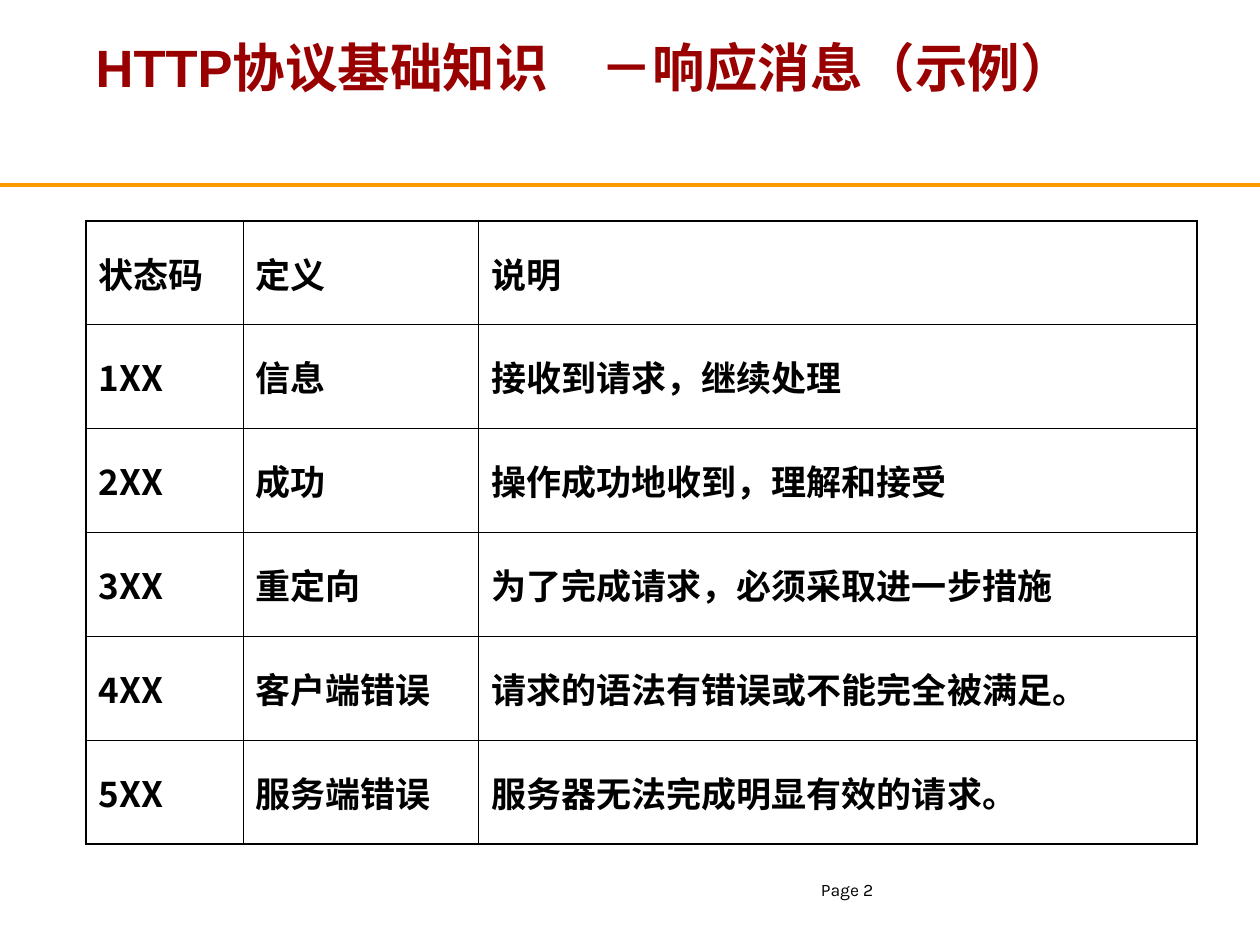
from lxml import etree
from pptx import Presentation
from pptx.dml.color import RGBColor
from pptx.enum.shapes import MSO_CONNECTOR
from pptx.enum.text import MSO_ANCHOR, PP_ALIGN
from pptx.oxml.ns import qn
from pptx.util import Cm, Pt

STRAIGHT = MSO_CONNECTOR.STRAIGHT
TOP, MIDDLE = MSO_ANCHOR.TOP, MSO_ANCHOR.MIDDLE
LEFT = PP_ALIGN.LEFT

BLACK = RGBColor(0x00, 0x00, 0x00)
DARK_RED = RGBColor(0x99, 0x00, 0x00)
ORANGE = RGBColor(0xFF, 0x99, 0x00)

CJK_FONT = "Noto Sans CJK SC"
TITLE_FONT = {"name": "Arial", "size": Pt(30), "bold": True}
CELL_FONT = {"name": CJK_FONT, "size": Pt(20), "bold": True}
PAGE_FONT = {"name": "Karla", "size": Pt(10), "bold": False}

OUTER_BORDER = Pt(1.08)
INNER_BORDER = Pt(0.45)

STATUS_CODES = [
    ("状态码", "定义", "说明"),
    ("1XX", "信息", "接收到请求，继续处理"),
    ("2XX", "成功", "操作成功地收到，理解和接受"),
    ("3XX", "重定向", "为了完成请求，必须采取进一步措施"),
    ("4XX", "客户端错误", "请求的语法有错误或不能完全被满足。"),
    ("5XX", "服务端错误", "服务器无法完成明显有效的请求。"),
]
COLUMN_WIDTHS = [3.17, 4.75, 14.48]


class SlideBuilder:
    def __init__(self, presentation):
        layout = presentation.slide_layouts[5]
        self.slide = presentation.slides.add_slide(layout)

    def fill_text(self, text_frame, text, font_values, color, line_spacing=1.0):
        paragraph = text_frame.paragraphs[0]
        paragraph.alignment = LEFT
        paragraph.line_spacing = line_spacing
        run = paragraph.add_run()
        run.text = text
        for name, value in font_values.items():
            setattr(run.font, name, value)
        run.font.color.rgb = color
        latin = run.font._element.find(qn("a:latin"))
        east_asian = etree.Element(qn("a:ea"), typeface=CJK_FONT)
        latin.addnext(east_asian)

    def frame(self, shape, anchor, horizontal, vertical):
        text_frame = shape.text_frame
        values = {
            "word_wrap": True,
            "vertical_anchor": anchor,
            "margin_left": horizontal,
            "margin_right": horizontal,
            "margin_top": vertical,
            "margin_bottom": vertical,
        }
        for name, value in values.items():
            setattr(text_frame, name, value)
        return text_frame

    def title(self, text, left, top, width, height):
        shape = self.slide.shapes.title
        shape.left, shape.top = Cm(left), Cm(top)
        shape.width, shape.height = Cm(width), Cm(height)
        text_frame = self.frame(shape, MIDDLE, Cm(0.23), Cm(0.1))
        self.fill_text(text_frame, text, TITLE_FONT, DARK_RED)

    def rule(self, left, top, width):
        line = self.slide.shapes.add_connector(
            STRAIGHT, Cm(left), Cm(top), Cm(left + width), Cm(top)
        )
        line.line.color.rgb = ORANGE
        line.line.width = Pt(2.25)
        etree.SubElement(line._element.spPr, qn("a:effectLst"))

    def page_label(self, text, left, top, width, height):
        shape = self.slide.shapes.add_textbox(
            Cm(left), Cm(top), Cm(width), Cm(height)
        )
        text_frame = self.frame(shape, TOP, 0, 0)
        self.fill_text(text_frame, text, PAGE_FONT, BLACK, 0.85)

    def border(self, cell, side, width):
        properties = cell._tc.get_or_add_tcPr()
        line = etree.SubElement(properties, qn(f"a:ln{side}"), w=str(width))
        fill = etree.SubElement(line, qn("a:solidFill"))
        etree.SubElement(fill, qn("a:srgbClr"), val=str(BLACK))

    def table(self, rows, column_widths, left, top, height):
        last_row, last_column = len(rows) - 1, len(column_widths) - 1
        table = self.slide.shapes.add_table(
            len(rows), len(column_widths), Cm(left), Cm(top),
            Cm(sum(column_widths)), Cm(height)
        ).table
        table.first_row = False
        table.horz_banding = False
        for column, width in zip(table.columns, column_widths):
            column.width = Cm(width)
        for row_index, texts in enumerate(rows):
            for column_index, text in enumerate(texts):
                cell = table.cell(row_index, column_index)
                outer_sides = {
                    "L": column_index == 0,
                    "R": column_index == last_column,
                    "T": row_index == 0,
                    "B": row_index == last_row,
                }
                for side, is_outer in outer_sides.items():
                    width = OUTER_BORDER if is_outer else INNER_BORDER
                    self.border(cell, side, width)
                cell.fill.background()
                cell.vertical_anchor = TOP
                self.fill_text(cell.text_frame, text, CELL_FONT, BLACK, 1.4)


def main():
    presentation = Presentation()
    presentation.slide_width = Cm(25.4)
    presentation.slide_height = Cm(19.05)
    builder = SlideBuilder(presentation)
    builder.rule(0, 3.73, 25.4)
    builder.page_label("Page 2", 16.55, 17.78, 2.95, 3.05)
    builder.title("HTTP协议基础知识　－响应消息（示例）", 1.7, 0.56, 22.4, 1.55)
    builder.table(STATUS_CODES, COLUMN_WIDTHS, 1.73, 4.45, 12.57)
    presentation.save("out.pptx")


if __name__ == "__main__":
    main()
